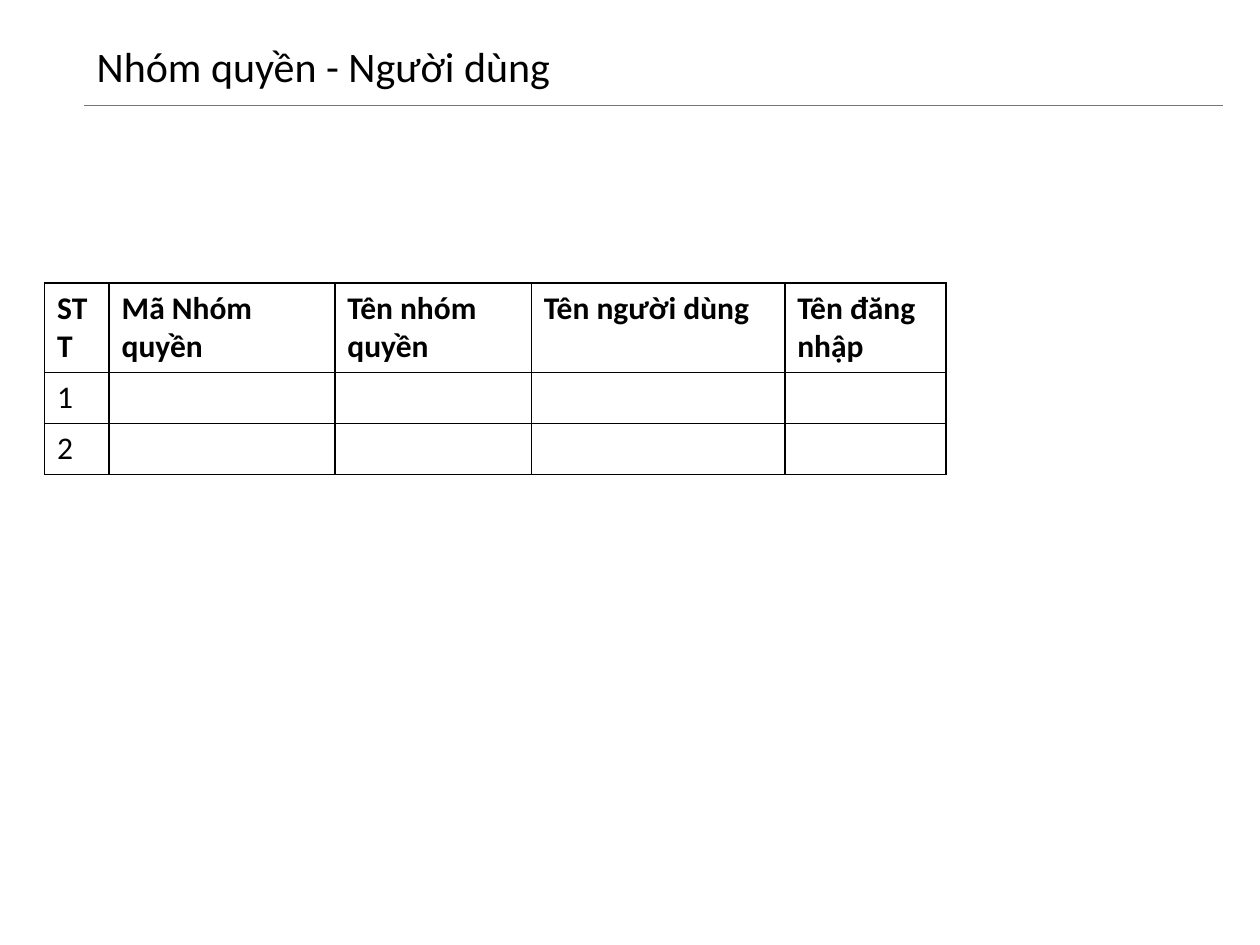
"""Build the slide listing user groups and their users."""
from lxml.etree import SubElement
from pptx import Presentation
from pptx.dml.color import RGBColor
from pptx.enum.shapes import MSO_CONNECTOR as Connector
from pptx.enum.text import MSO_AUTO_SIZE as AutoSize
from pptx.oxml.ns import qn
from pptx.util import Cm, Pt


def color(value):
    return RGBColor.from_string(value)


def style(paragraph, size, bold=False):
    paragraph.font.name = "Calibri"
    paragraph.font.size = Pt(size)
    paragraph.font.bold = bold
    paragraph.font.color.rgb = color("000000")


presentation = Presentation()
presentation.slide_width, presentation.slide_height = Cm(25.4), Cm(19.05)
slide = presentation.slides.add_slide(presentation.slide_layouts[6])

rows = [
    ["STT", "Mã Nhóm quyền", "Tên nhóm quyền", "Tên người dùng", "Tên đăng nhập"],
    ["1", "", "", "", ""],
    ["2", "", "", "", ""],
]
column_widths = [1.3, 4.55, 3.96, 5.11, 3.25]
row_heights = [1.8, 1.03, 1.03]
table = slide.shapes.add_table(
    len(rows), len(column_widths), Cm(0.9), Cm(5.7),
    Cm(sum(column_widths)), Cm(sum(row_heights))).table
table.horz_banding = False
for column, width in zip(table.columns, column_widths):
    column.width = Cm(width)
for row_index, (row, height, texts) in enumerate(zip(table.rows, row_heights, rows)):
    row.height = Cm(height)
    for cell, text in zip(row.cells, texts):
        cell.text = text
        style(cell.text_frame.paragraphs[0], 18, bold=row_index == 0)
        properties = cell._tc.get_or_add_tcPr()
        for side in ("a:lnL", "a:lnR", "a:lnT", "a:lnB"):
            border = SubElement(properties, qn(side), w=str(Pt(1)))
            fill = SubElement(border, qn("a:solidFill"))
            SubElement(fill, qn("a:srgbClr"), val="000000")
        cell.fill.background()

title = slide.shapes.add_textbox(Cm(1.7), Cm(0.69), Cm(22.96), Cm(1.28))
title.text_frame.word_wrap = True
title.text_frame.auto_size = AutoSize.SHAPE_TO_FIT_TEXT
title.text_frame.text = "Nhóm quyền - Người dùng"
style(title.text_frame.paragraphs[0], 24)

title_rule = slide.shapes.add_connector(
    Connector.STRAIGHT, Cm(1.7), Cm(2.13), Cm(24.66), Cm(2.13))
title_rule.line.color.rgb = color("4B7EBC")
title_rule.line.width = Pt(0.75)
SubElement(title_rule._element.spPr, qn("a:effectLst"))

presentation.save("out.pptx")
